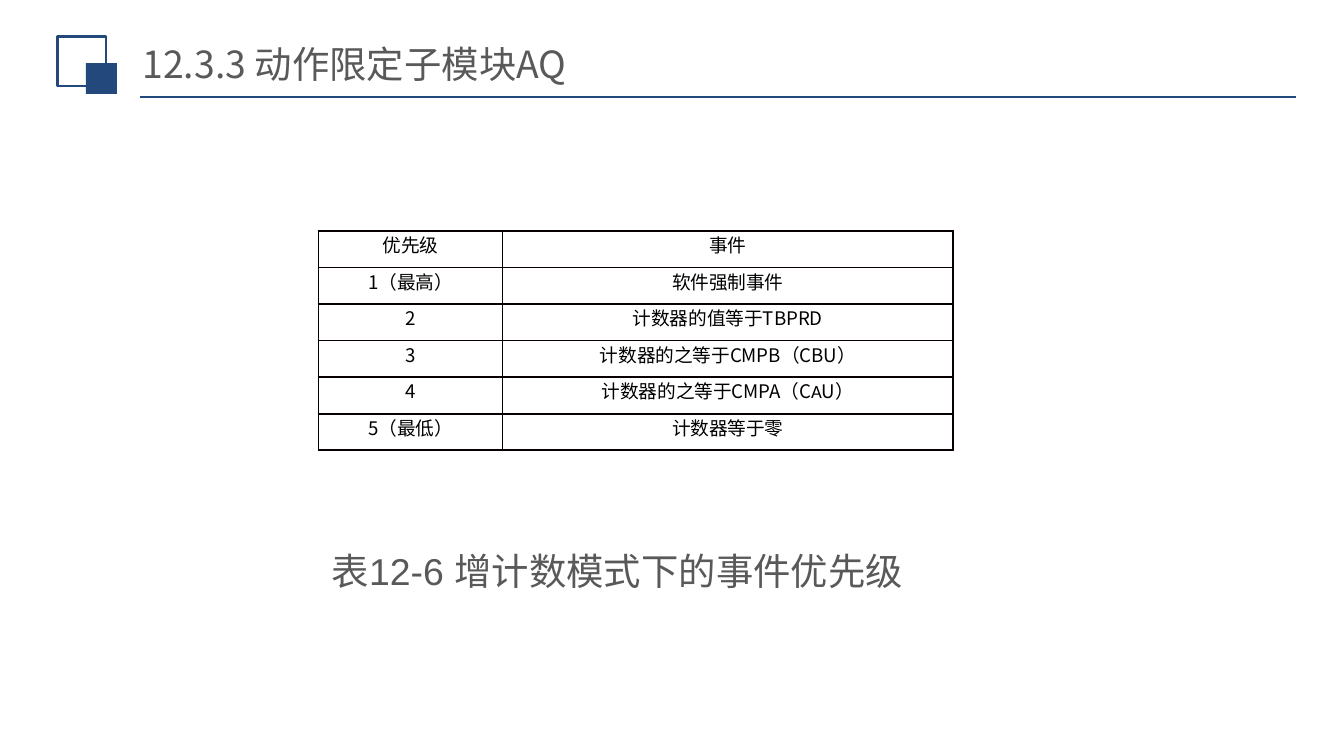
from typing import NamedTuple

from lxml.etree import SubElement
from pptx import Presentation
from pptx.dml.color import RGBColor
from pptx.enum.shapes import MSO_CONNECTOR as Connector, MSO_SHAPE as Shape
from pptx.enum.text import MSO_ANCHOR as Anchor, PP_ALIGN as Align
from pptx.oxml.ns import qn
from pptx.util import Inches, Pt

NAVY = RGBColor(0x23, 0x48, 0x7C)
GRAY = RGBColor(0x59, 0x59, 0x59)
BLACK = RGBColor(0x00, 0x00, 0x00)
BORDER = RGBColor(0x08, 0x00, 0x00)
CJK_FONT = "Noto Sans CJK SC"


class Span(NamedTuple):
    text: str
    font: str = CJK_FONT


class Square(NamedTuple):
    left: float
    top: float
    width: float
    height: float
    filled: bool


class Priority(NamedTuple):
    level: str
    event: list[Span]


SQUARES = [
    Square(0.43, 0.27, 0.36, 0.37, False),
    Square(0.64, 0.47, 0.23, 0.23, True),
]
PRIORITIES = [
    Priority("优先级", [Span("事件")]),
    Priority("1（最高）", [Span("软件强制事件")]),
    Priority("2", [Span("计数器的值等于TBPRD")]),
    Priority("3", [Span("计数器的之等于CMPB（CBU）")]),
    Priority("4", [Span("计数器的之等于CMPA（C"), Span("A", "Calibri"), Span("U）")]),
    Priority("5（最低）", [Span("计数器等于零")]),
]
COLUMN_WIDTHS = [1.37, 3.35]
TABLE_HEIGHT = 1.63


def write_text(frame, spans: list[Span], *, size: float = 20,
               color: RGBColor = GRAY, align: Align = Align.LEFT) -> None:
    para = frame.paragraphs[0]
    para.alignment = align
    for span in spans:
        run = para.add_run()
        run.text = span.text
        run.font.size = Pt(size)
        run.font.color.rgb = color
        run.font.name = span.font
        SubElement(run.font._element, qn("a:ea"), typeface=CJK_FONT)


def draw_square(page, square: Square) -> None:
    box = page.shapes.add_shape(
        Shape.RECTANGLE, Inches(square.left), Inches(square.top),
        Inches(square.width), Inches(square.height))
    box.shadow.inherit = False
    if square.filled:
        box.fill.solid()
        box.fill.fore_color.rgb = NAVY
        box.line.fill.background()
    else:
        box.fill.background()
        box.line.color.rgb = NAVY
        box.line.width = Pt(1.5)


def draw_rule(page) -> None:
    rule = page.shapes.add_connector(
        Connector.STRAIGHT, Inches(1.04), Inches(0.72), Inches(9.64), Inches(0.72))
    rule.line.color.rgb = NAVY
    rule.line.width = Pt(1.25)
    SubElement(rule._element.spPr, qn("a:effectLst"))


def draw_title(page) -> None:
    title = page.shapes.title
    title.left, title.top = Inches(0.99), Inches(0.29)
    title.width, title.height = Inches(6.45), Inches(0.36)
    frame = title.text_frame
    frame.vertical_anchor = Anchor.MIDDLE
    frame.margin_left = frame.margin_right = Inches(0.07)
    frame.margin_top = frame.margin_bottom = Inches(0.04)
    write_text(frame, [Span("12.3.3 动作限定子模块AQ")])


def draw_caption(page) -> None:
    box = page.shapes.add_textbox(Inches(2.37), Inches(4.03), Inches(4.87), Inches(0.44))
    box.text_frame.word_wrap = True
    write_text(box.text_frame, [Span("表12-6 增计数模式下的事件优先级", "Arial")],
               align=Align.JUSTIFY)


def fill_cell(cell, spans: list[Span]) -> None:
    cell.margin_left = cell.margin_right = Inches(0.07)
    cell.margin_top = cell.margin_bottom = 0
    properties = cell._tc.get_or_add_tcPr()
    for side in ("lnL", "lnR", "lnT", "lnB"):
        line = SubElement(properties, qn(f"a:{side}"), w=str(Pt(1)))
        paint = SubElement(line, qn("a:solidFill"))
        SubElement(paint, qn("a:srgbClr"), val=str(BORDER))
    cell.fill.background()
    write_text(cell.text_frame, spans, size=10, color=BLACK, align=Align.CENTER)


def draw_priorities(page) -> None:
    table = page.shapes.add_table(
        len(PRIORITIES), len(COLUMN_WIDTHS), Inches(2.37), Inches(1.72),
        Inches(sum(COLUMN_WIDTHS)), Inches(TABLE_HEIGHT)).table
    table.first_row = table.horz_banding = False
    for column, width in zip(table.columns, COLUMN_WIDTHS):
        column.width = Inches(width)
    for row, priority in zip(table.rows, PRIORITIES):
        row.height = Inches(TABLE_HEIGHT / len(PRIORITIES))
        fill_cell(row.cells[0], [Span(priority.level)])
        fill_cell(row.cells[1], priority.event)


def main() -> None:
    deck = Presentation()
    deck.slide_width = Inches(10)
    deck.slide_height = deck.slide_width * 9 // 16
    page = deck.slides.add_slide(deck.slide_layouts.get_by_name("Title Only"))
    draw_rule(page)
    for square in SQUARES:
        draw_square(page, square)
    draw_title(page)
    draw_caption(page)
    draw_priorities(page)
    deck.save("out.pptx")


if __name__ == "__main__":
    main()
